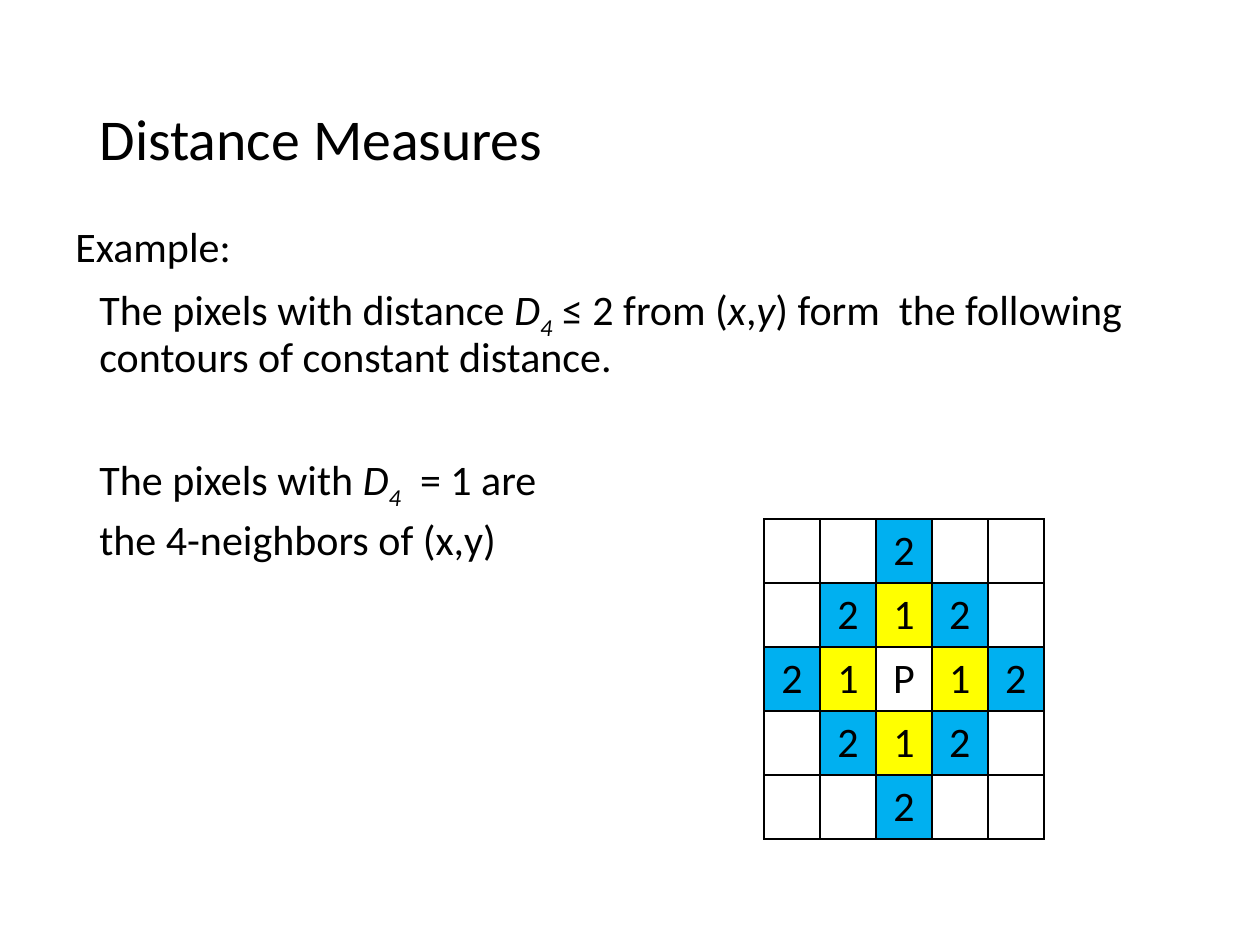
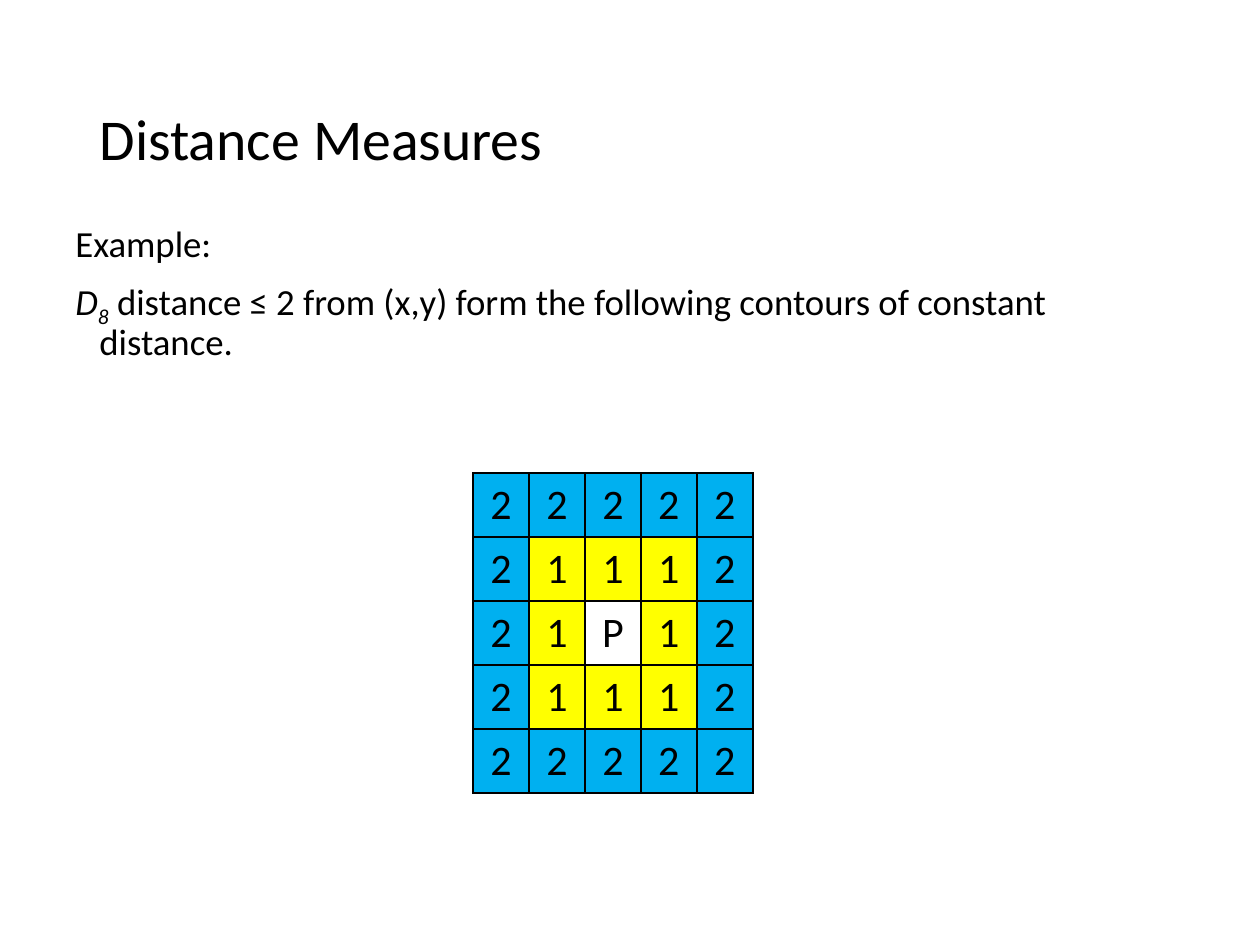
"""Build two slides on the D4 and D8 pixel distance measures."""
from lxml import etree
from pptx import Presentation
from pptx import util as u
from pptx.dml.color import RGBColor
from pptx.enum import text
from pptx.oxml import ns

PX = u.Inches(1) / 126
BLACK = RGBColor(0x00, 0x00, 0x00)
BLUE = RGBColor(0x00, 0xB0, 0xF0)
YELLOW = RGBColor(0xFF, 0xFF, 0x00)
FONT = "Calibri"
TITLE_BOX = (87, 50, 1086, 183)
BODY_BOX = (63, 220, 1134, 662)
INDENT = 24
COLUMN, ROW = 56, 64
RADIUS = 2
LABELS = {0: ("P", None), 1: ("1", YELLOW), 2: ("2", BLUE)}
ITALIC = {"italic": True}
SUBSCRIPT = {"italic": True, "baseline": -25000}


def px(length):
    return u.Emu(round(length * PX))


def apply(target, values):
    for name, value in values.items():
        setattr(target, name, value)


def city_block(dx, dy):
    return abs(dx) + abs(dy)


def chessboard(dx, dy):
    return max(abs(dx), abs(dy))


class Deck:
    """Hold the shared style and the current slide."""

    def __init__(self):
        self.presentation = Presentation()
        apply(self.presentation, {"slide_width": px(1260), "slide_height": px(945)})
        self.slide = None

    def place(self, shape, box):
        apply(shape, dict(zip(("left", "top", "width", "height"), map(px, box))))

    def add_run(self, paragraph, words, size, italic=False, baseline=None):
        run = paragraph.add_run()
        run.text = words
        apply(run.font, {"name": FONT, "size": u.Pt(size), "italic": italic})
        run.font.color.rgb = BLACK
        if baseline:
            run.font._element.set("baseline", str(baseline))

    def add_slide(self, title):
        layout = self.presentation.slide_layouts[5]
        self.slide = self.presentation.slides.add_slide(layout)
        shape = self.slide.shapes.title
        self.place(shape, TITLE_BOX)
        shape.text_frame.vertical_anchor = text.MSO_ANCHOR.MIDDLE
        paragraph = shape.text_frame.paragraphs[0]
        apply(paragraph, {"alignment": text.PP_ALIGN.LEFT, "line_spacing": 0.9})
        self.add_run(paragraph, title, 33)

    def add_body(self, paragraphs, size):
        frame = self.slide.shapes.add_textbox(*map(px, BODY_BOX)).text_frame
        frame.word_wrap = True
        for index, (space, hanging, runs) in enumerate(paragraphs):
            paragraph = frame.add_paragraph() if index else frame.paragraphs[0]
            properties = paragraph._p.get_or_add_pPr()
            properties.set("marL", str(px(INDENT)))
            properties.set("indent", str(px(-INDENT if hanging else 0)))
            apply(paragraph, {"line_spacing": 0.9, "space_before": u.Pt(space)})
            for words, style in runs:
                self.add_run(paragraph, words, size, **style)

    def add_borders(self, cell):
        properties = cell._tc.get_or_add_tcPr()
        for side in "LRTB":
            line = etree.SubElement(properties, ns.qn(f"a:ln{side}"), w=str(u.Pt(1)))
            fill = etree.SubElement(line, ns.qn("a:solidFill"))
            etree.SubElement(fill, ns.qn("a:srgbClr"), val=str(BLACK))

    def add_contours(self, left, top, distance):
        count = 2 * RADIUS + 1
        box = (left, top, count * COLUMN, count * ROW)
        table = self.slide.shapes.add_table(count, count, *map(px, box)).table
        apply(table, {"first_row": False, "horz_banding": False})
        for y in range(count):
            for x in range(count):
                steps = distance(x - RADIUS, y - RADIUS)
                label, color = LABELS.get(steps, (None, None))
                self.fill_cell(table.cell(y, x), label, color)

    def fill_cell(self, cell, label, color):
        self.add_borders(cell)
        cell.vertical_anchor = text.MSO_ANCHOR.MIDDLE
        if color is None:
            cell.fill.background()
        else:
            cell.fill.solid()
            cell.fill.fore_color.rgb = color
        if label:
            paragraph = cell.text_frame.paragraphs[0]
            paragraph.alignment = text.PP_ALIGN.CENTER
            self.add_run(paragraph, label, 24)


def main():
    deck = Deck()
    example = (0, True, [("Example:", {})])

    deck.add_slide("Distance Measures")
    deck.add_body([
        example,
        (7.5, False, [
            ("The pixels with distance ", {}), ("D", ITALIC), ("4", SUBSCRIPT),
            (" ≤ 2 from (", {}), ("x", ITALIC), (",", {}), ("y", ITALIC),
            (") form  the following contours of constant distance.", {}),
        ]),
        (41.5, False, [
            ("The pixels with ", {}), ("D", ITALIC), ("4", SUBSCRIPT),
            ("  = 1 are", {}),
        ]),
        (7.5, False, [("the 4-neighbors of (x,y)", {})]),
    ], 24)
    deck.add_contours(764, 519, city_block)

    deck.add_slide("Distance Measures")
    deck.add_body([
        example,
        (7.5, True, [
            ("D", ITALIC), ("8", SUBSCRIPT),
            (" distance ≤ 2 from (x,y) form the following contours"
             " of constant distance.", {}),
        ]),
    ], 21)
    deck.add_contours(473, 473, chessboard)

    deck.presentation.save("out.pptx")


if __name__ == "__main__":
    main()
